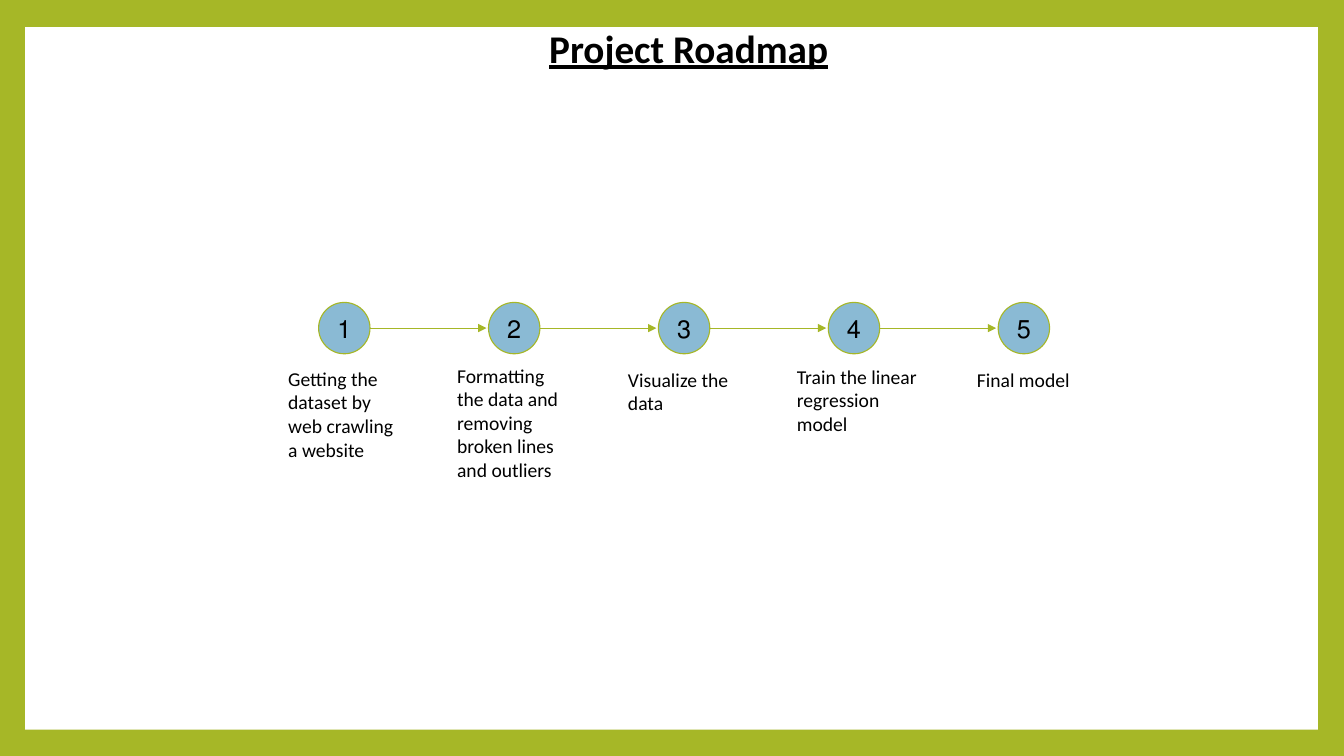
import pptx
import pptx.util
import pptx.dml.color
import pptx.enum.dml
import pptx.enum.shapes
import pptx.enum.text
import pptx.oxml
import lxml.etree

INCH = pptx.util.Inches
SHAPE = pptx.enum.shapes.MSO_SHAPE
ALIGN = pptx.enum.text.PP_ALIGN
ANCHOR = pptx.enum.text.MSO_ANCHOR
HUES = {"frame": "A6B727", "panel": "FFFFFF", "node": "8ABAD4", "text": "000000"}
WIDE, HIGH = 13.33, 7.5
PITCH, NODE, GAP = 1.685, 0.51, 0.02
LINE = 0.79

# text, label shift from its node, label top below its node, label width
STEPS = [
    ("Getting the dataset by web crawling a website", -0.4, 0.08, 1.31),
    ("Formatting the data and removing broken lines and outliers", -0.41, 0.05, 1.31),
    ("Visualize the data", -0.4, 0.09, 1.31),
    ("Train the linear regression model", -0.41, 0.06, 1.42),
    ("Final model", -0.31, 0.09, 1.42),
]
FONTS = {
    "title": {"size": pptx.util.Pt(28), "bold": True, "underline": True},
    "label": {"size": pptx.util.Pt(14)},
    "count": {"size": pptx.util.Pt(18)},
}


def hue(name):
    return pptx.dml.color.RGBColor.from_string(HUES[name])


def write(shape, text, style, align, anchor, inset=(0.1, 0.05)):
    frame = shape.text_frame
    frame.text = text
    form = {
        "word_wrap": True,
        "auto_size": pptx.enum.text.MSO_AUTO_SIZE.NONE,
        "vertical_anchor": anchor,
        "margin_left": INCH(inset[0]),
        "margin_right": INCH(inset[0]),
        "margin_top": INCH(inset[1]),
        "margin_bottom": INCH(inset[1]),
    }
    for key, value in form.items():
        setattr(frame, key, value)
    para = frame.paragraphs[0]
    para.alignment = align
    font = para.runs[0].font
    for key, value in {"name": "Calibri", **FONTS[style]}.items():
        setattr(font, key, value)
    font.color.rgb = hue("text")
    return para


def block(slide, kind, box, fill):
    shape = slide.shapes.add_shape(kind, *map(INCH, box))
    shape.shadow.inherit = False
    shape.fill.solid()
    shape.fill.fore_color.rgb = hue(fill)
    shape.line.fill.background()
    return shape


def backdrop(slide, box):
    fill = slide.background.fill
    fill.solid()
    fill.fore_color.rgb = hue("frame")
    panel = block(slide, SHAPE.RECTANGLE, box, "panel")
    slide.shapes.title.element.addprevious(panel.element)


def heading(slide, box, text):
    title = slide.shapes.title
    for key, value in zip(("left", "top", "width", "height"), box):
        setattr(title, key, INCH(value))
    write(title, text, "title", ALIGN.CENTER, ANCHOR.TOP)


def node(slide, box, count):
    disc = block(slide, SHAPE.OVAL, box, "node")
    disc.line.color.rgb = hue("frame")
    disc.line.width = pptx.util.Pt(LINE)
    para = write(disc, str(count), "count", ALIGN.CENTER, ANCHOR.MIDDLE, (0, 0))
    para._p.get_or_add_pPr().set("rtl", "1")


def arrow(slide, start, end, y):
    kind = pptx.enum.shapes.MSO_CONNECTOR.STRAIGHT
    link = slide.shapes.add_connector(kind, INCH(start), INCH(y), INCH(end), INCH(y))
    link.line.color.rgb = hue("frame")
    link.line.width = pptx.util.Pt(LINE)
    qn = pptx.oxml.ns.qn
    tail = lxml.etree.SubElement(link.line._get_or_add_ln(), qn("a:tailEnd"))
    tail.set("type", "triangle")
    lxml.etree.SubElement(link.element.spPr, qn("a:effectLst"))


def roadmap(slide, box):
    left, top, width, height = box
    for i, (text, shift, drop, span) in enumerate(STEPS):
        x = left + i * PITCH
        node(slide, (x, top, NODE, NODE), i + 1)
        if i < len(STEPS) - 1:
            arrow(slide, x + NODE, x + PITCH - GAP, top + NODE / 2)
        y = top + NODE + drop
        spot = (x + shift, y, span, top + height - y)
        label = slide.shapes.add_textbox(*map(INCH, spot))
        write(label, text, "label", ALIGN.LEFT, ANCHOR.TOP)


def main():
    deck = pptx.Presentation()
    deck.slide_width, deck.slide_height = INCH(WIDE), INCH(HIGH)
    slide = deck.slides.add_slide(deck.slide_layouts[5])
    backdrop(slide, (0.25, 0.27, 12.82, 6.97))
    heading(slide, (3.91, 0.19, 5.84, 0.57), "Project Roadmap")
    roadmap(slide, (3.16, 3, 4 * PITCH + NODE, 1.84))
    deck.save("out.pptx")


if __name__ == "__main__":
    main()
